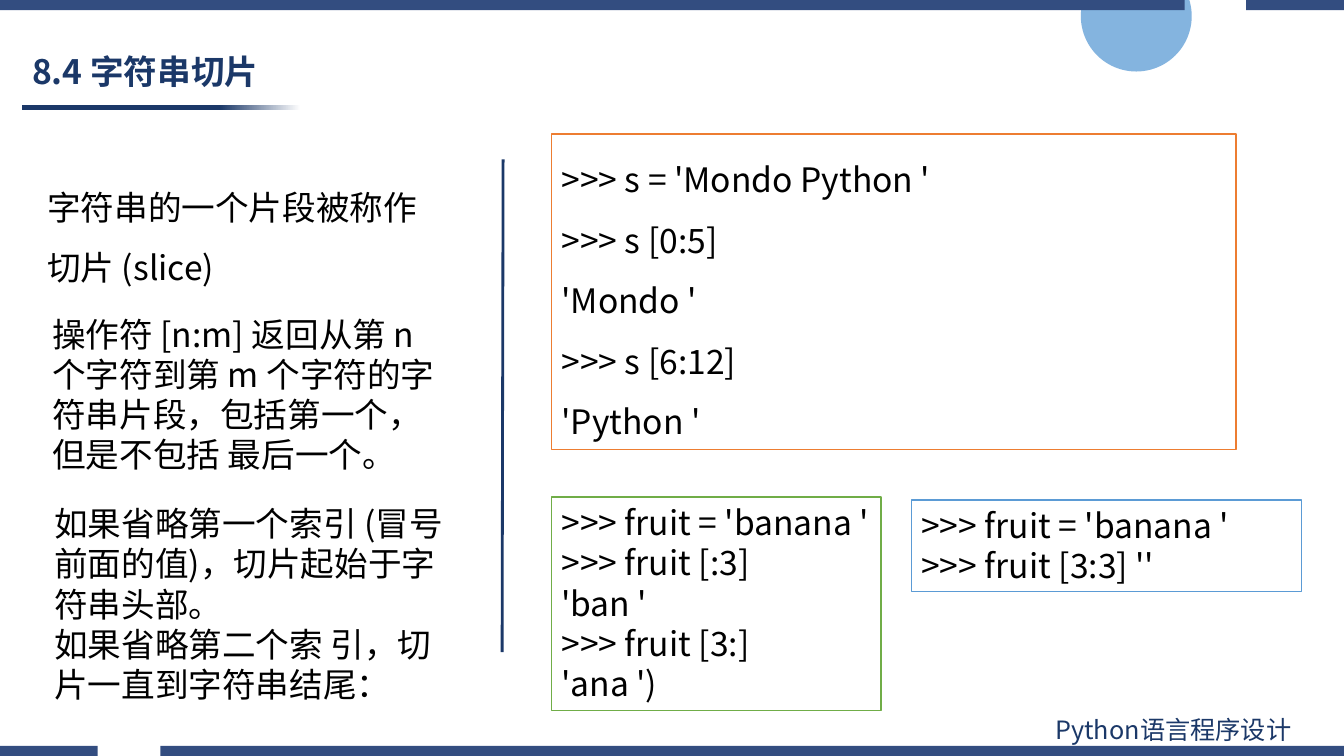
from lxml import etree
from pptx import Presentation
from pptx import util as u
from pptx.dml.color import RGBColor
from pptx.enum import shapes, text
from pptx.oxml.ns import qn

NAVY = RGBColor(0x1B, 0x38, 0x68)
BAND = RGBColor(0x33, 0x4D, 0x80)
BLUE = RGBColor(0x5B, 0x9B, 0xD5)
ORANGE = RGBColor(0xED, 0x7D, 0x31)
GREEN = RGBColor(0x70, 0xAD, 0x47)
BLACK = RGBColor(0, 0, 0)
WHITE = RGBColor(255, 255, 255)
FONT = "Noto Sans CJK SC"
WIDTH, HEIGHT, BAND_HEIGHT = 13.33, 7.5, 0.1


def inches(*lengths):
    """Convert plain numbers to lengths."""
    return [u.Inches(length) for length in lengths]


def write(box, lines, size=24, color=BLACK, bold=False, spacing=1.0, wrap=True,
          anchor=text.MSO_ANCHOR.TOP, fit=text.MSO_AUTO_SIZE.SHAPE_TO_FIT_TEXT):
    """Fill a box with left-aligned paragraphs in one style."""
    frame = box.text_frame
    frame.word_wrap = wrap
    frame.auto_size = fit
    frame.vertical_anchor = anchor
    for index, line in enumerate(lines):
        para = frame.paragraphs[0] if index == 0 else frame.add_paragraph()
        para.alignment = text.PP_ALIGN.LEFT
        para.line_spacing = spacing
        span = para.add_run()
        span.text = line
        for font in (para.font, span.font):
            font.size = u.Pt(size)
            font.bold = bold
            font.color.rgb = color
            font.name = FONT
        etree.SubElement(span.font._element, qn("a:ea"), typeface=FONT)


def add_text(page, box, lines, **style):
    """Place a plain text box."""
    write(page.shapes.add_textbox(*inches(*box)), lines, **style)


def add_plain(page, kind, box):
    """Place a preset shape without line or shadow."""
    shape = page.shapes.add_shape(kind, *inches(*box))
    shape.shadow.inherit = False
    shape.line.fill.background()
    return shape


def add_code(page, box, lines, border, **style):
    """Place a white code panel with a coloured border."""
    panel = add_plain(page, shapes.MSO_SHAPE.RECTANGLE, box)
    panel.fill.solid()
    panel.fill.fore_color.rgb = WHITE
    panel.line.color.rgb = border
    panel.line.width = u.Pt(1)
    write(panel, lines, **style)


def add_band(page, top, gap_left, gap_right):
    """Draw a full-width edge band broken by one gap."""
    bottom = top + BAND_HEIGHT
    builder = page.shapes.build_freeform(*inches(0, top), scale=1.0)
    for index, (left, right) in enumerate([(0, gap_left), (gap_right, WIDTH)]):
        if index:
            builder.move_to(*inches(left, top))
        corners = [(right, top), (right, bottom), (left, bottom)]
        builder.add_line_segments([inches(*corner) for corner in corners], close=True)
    band = builder.convert_to_shape()
    band.shadow.inherit = False
    band.fill.solid()
    band.fill.fore_color.rgb = BAND
    band.line.fill.background()


def add_frame(page):
    """Draw the circle, edge bands and footer."""
    circle = add_plain(page, shapes.MSO_SHAPE.OVAL, (10.72, -0.39, 1.1, 1.1))
    circle.fill.solid()
    circle.fill.fore_color.rgb = BLUE
    color = circle._element.spPr.find(qn("a:solidFill"))[0]
    etree.SubElement(color, qn("a:alpha"), val="75000")
    add_band(page, HEIGHT - BAND_HEIGHT, 0.97, 1.59)
    add_band(page, 0, 11.75, 12.36)
    add_text(page, (10.37, 7.04, 2.94, 0.4), ["Python语言程序设计"], size=18, color=NAVY)


def add_heading(page, box, title):
    """Write the title above its fading underline."""
    left, top, _, height = box
    rule = add_plain(page, shapes.MSO_SHAPE.RECTANGLE,
                     (left, top + height + 0.03, 2.76, 0.05))
    rule.fill.gradient()
    rule.fill.gradient_angle = 0
    stops = zip(rule.fill.gradient_stops, [(0.71, NAVY), (1.0, WHITE)])
    for stop, (position, color) in stops:
        stop.position = position
        stop.color.rgb = color
    add_text(page, box, [title], color=NAVY, bold=True, spacing=0.9,
             anchor=text.MSO_ANCHOR.MIDDLE, fit=text.MSO_AUTO_SIZE.NONE)


def add_explanations(page):
    """Write the left column and the divider beside it."""
    add_text(page, (0.37, 1.6, 4.17, 1.25), ["字符串的一个片段被称作切片 (slice)"], spacing=1.5)
    add_text(page, (0.42, 3.06, 4.07, 1.72), [
        "操作符 [n:m] 返回从第 n 个字符到第 m 个字符的字符串片段，包括第一个，但是不包括 最后一个。"])
    add_text(page, (0.44, 4.94, 4.22, 2.12), [
        "如果省略第一个索引 (冒号前面的值)，切片起始于字符串头部。",
        "如果省略第二个索 引，切片一直到字符串结尾："])
    divider = page.shapes.add_connector(
        shapes.MSO_CONNECTOR.STRAIGHT, *inches(4.99, 1.58, 4.98, 6.47))
    divider.line.color.rgb = NAVY
    divider.line.width = u.Pt(2)
    etree.SubElement(divider._element.spPr, qn("a:effectLst"))


def add_examples(page):
    """Place the three code panels on the right."""
    add_code(page, (5.47, 1.33, 6.79, 3.13), [
        ">>> s = 'Mondo Python '", ">>> s [0:5]", "'Mondo '",
        ">>> s [6:12]", "'Python '"], ORANGE, spacing=1.5)
    add_code(page, (5.47, 4.93, 3.27, 2.12), [
        ">>> fruit = 'banana '", ">>> fruit [:3]", "'ban '",
        ">>> fruit [3:]", "'ana ')"], GREEN, wrap=False)
    add_code(page, (9.04, 4.96, 3.87, 0.91),
             [">>> fruit = 'banana ' >>> fruit [3:3] ''"], BLUE)


def main():
    """Build and save the deck."""
    deck = Presentation()
    deck.slide_width, deck.slide_height = inches(WIDTH, HEIGHT)
    page = deck.slides.add_slide(deck.slide_layouts[6])
    add_frame(page)
    add_heading(page, (0.22, 0.45, 6.04, 0.56), "8.4 字符串切片")
    add_explanations(page)
    add_examples(page)
    deck.save("out.pptx")


if __name__ == "__main__":
    main()
